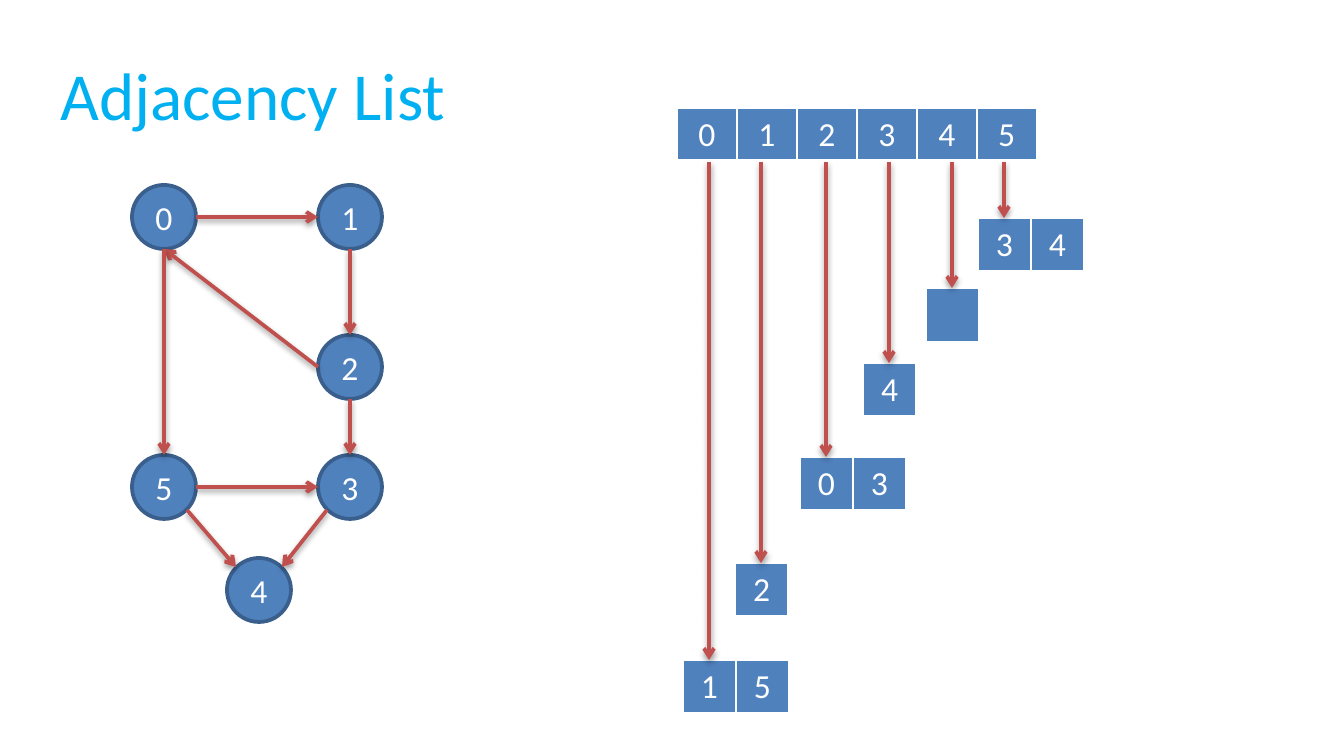
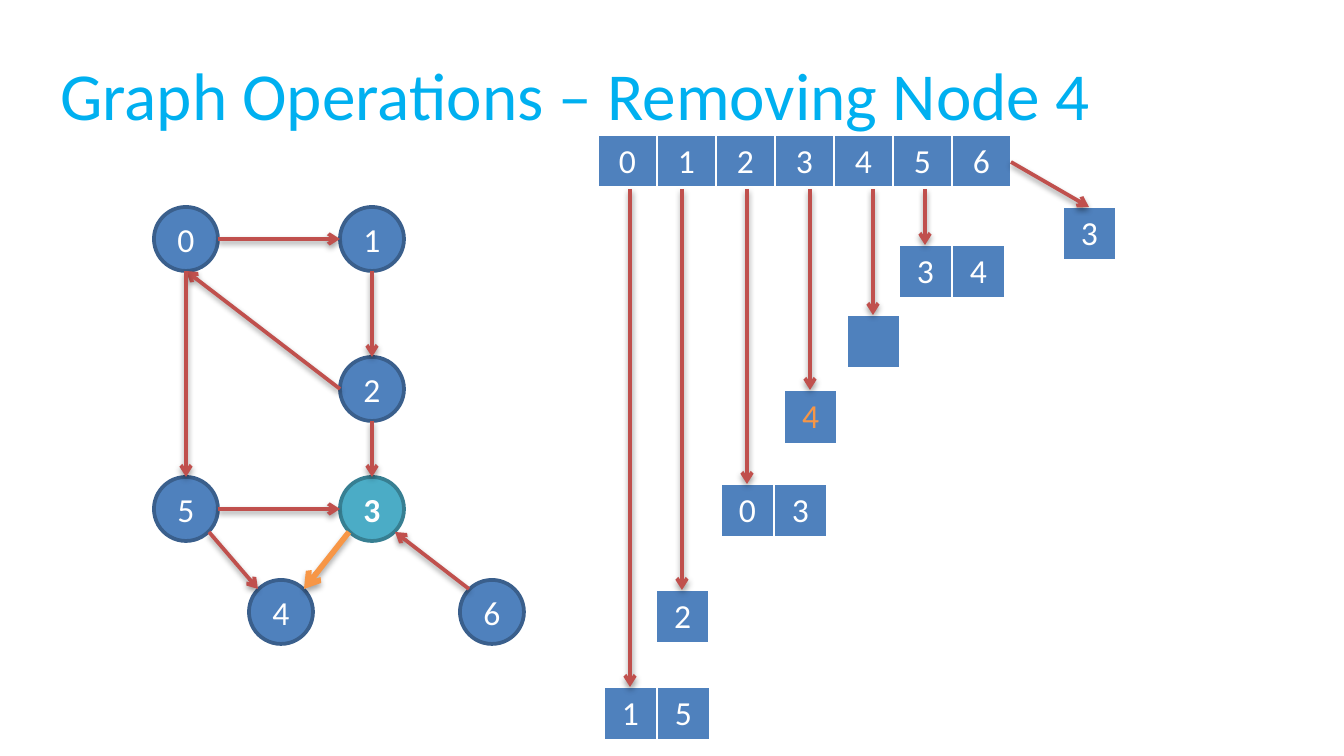
"""Builds two slides that show a directed graph beside its adjacency list."""
from math import cos, pi, sin

from lxml.etree import SubElement
from pptx import Presentation
from pptx.dml.color import RGBColor
from pptx.enum.shapes import MSO_CONNECTOR, MSO_SHAPE
from pptx.enum.text import MSO_ANCHOR, PP_ALIGN
from pptx.oxml import parse_xml
from pptx.oxml.ns import nsdecls, qn
from pptx.util import Emu, Pt

OVAL = MSO_SHAPE.OVAL
LINE = MSO_CONNECTOR.STRAIGHT
MID = MSO_ANCHOR.MIDDLE
LEFT, CENTER = PP_ALIGN.LEFT, PP_ALIGN.CENTER
FONT = "Calibri"
SCALE = 914400 / 134.4
COLORS = {
    "title": "00B0F0", "node": "4F81BD", "rim": "3A5F8C", "pick": "4BACC6",
    "pick_rim": "377F92", "edge": "C0504D", "mark": "F79646", "white": "FFFFFF",
}
RGB = {name: RGBColor.from_string(code) for name, code in COLORS.items()}

RADIUS = 32
CELL_W, CELL_H, HEAD_H = 53, 55, 54
HEAD_X, HEAD_Y = 677, 108
TOP, TOP_LEFT, SIDE, LOW_LEFT, LOW, LOW_RIGHT, RIGHT, TOP_RIGHT = range(8)
NODES = {"0": (164, 217), "3": (350, 487), "2": (350, 367), "4": (259, 590),
         "5": (164, 487), "1": (350, 217), "6": (470, 590)}
EDGES = [
    ("0", RIGHT, "1", SIDE), ("1", LOW, "2", TOP), ("2", SIDE, "0", LOW),
    ("0", LOW, "5", TOP), ("2", LOW, "3", TOP), ("3", LOW_LEFT, "4", TOP_RIGHT),
    ("5", LOW_RIGHT, "4", TOP_LEFT), ("5", RIGHT, "3", SIDE),
    ("6", TOP_LEFT, "3", LOW_RIGHT),
]
LISTS = {"5": (978, 218, "34"), "4": (926, 288, " "), "3": (863, 363, "4"),
         "2": (800, 457, "03"), "1": (735, 563, "2"), "0": (683, 660, "15"),
         "6": (1142, 180, "3")}
SLIDES = [
    {"title": "Adjacency List", "keys": "012345", "graph": (0, 0),
     "lists": (0, 0), "head_w": 60, "pick": None},
    {"title": "Graph Operations – Removing Node 4", "keys": "0123456",
     "graph": (22, 22), "lists": (-79, 27), "head_w": 59, "pick": "3"},
]


def px(*nums):
    return [Emu(round(num * SCALE)) for num in nums]


def write(frame, text, size=18, color="white", bold=False, align=CENTER):
    para = frame.paragraphs[0]
    para.alignment = align
    run = para.add_run()
    run.text = text
    run.font.name, run.font.size, run.font.bold = FONT, Pt(size), bold
    run.font.color.rgb = RGB[color]


prs = Presentation()
prs.slide_width, prs.slide_height = px(1344, 756)

for page in SLIDES:
    slide = prs.slides.add_slide(prs.slide_layouts[6])
    shapes = slide.shapes
    keys, pick = page["keys"], page["pick"]

    box = shapes.add_textbox(*px(47, 31, 1230, 126)).text_frame
    box.word_wrap = True
    box.vertical_anchor = MID
    write(box, page["title"], size=36, color="title", align=LEFT)

    dx, dy = page["graph"]
    spots, ovals = {}, {}
    for key, (x, y) in NODES.items():
        if key not in keys:
            continue
        spots[key] = x + dx, y + dy
        oval = shapes.add_shape(OVAL, *px(x + dx - RADIUS, y + dy - RADIUS,
                                          2 * RADIUS, 2 * RADIUS))
        oval.shadow.inherit = False
        oval.fill.solid()
        oval.fill.fore_color.rgb = RGB["pick" if key == pick else "node"]
        oval.line.color.rgb = RGB["pick_rim" if key == pick else "rim"]
        oval.line.width = Pt(2)
        oval.text_frame.vertical_anchor = MID
        write(oval.text_frame, key, bold=key == pick)
        ovals[key] = oval

    arrows = []
    for start, out, end, into in EDGES:
        if start not in keys:
            continue
        ends = []
        for key, site in ((start, out), (end, into)):
            x, y = spots[key]
            turn = site * pi / 4
            ends += [round(x - RADIUS * sin(turn)), round(y - RADIUS * cos(turn))]
        glue = [("a:stCxn", ovals[start], out), ("a:endCxn", ovals[end], into)]
        arrows.append((ends, glue, start == pick))

    dx, dy = page["lists"]
    head_x, head_y = HEAD_X + dx, HEAD_Y + dy
    rows = [(head_x, head_y, page["head_w"], HEAD_H, keys, "white")]
    for key, (x, y, items) in LISTS.items():
        if key not in keys:
            continue
        x, y = x + dx, y + dy
        rows.append((x, y, CELL_W, CELL_H, items, "mark" if key == pick else "white"))
        mid = x + CELL_W // 2
        if key == "6":
            tip = [head_x + len(keys) * page["head_w"], head_y + HEAD_H // 2]
        else:
            tip = [mid, head_y + HEAD_H]
        arrows.append((tip + [mid, y], [], False))

    for x, y, wide, high, items, color in rows:
        count = len(items)
        table = shapes.add_table(1, count, *px(x, y, wide * count, high)).table
        table.first_row = table.horz_banding = False
        for col, item in enumerate(items):
            table.columns[col].width = px(wide)[0]
            cell = table.cell(0, col)
            props = cell._tc.get_or_add_tcPr()
            for side, width in (("L", 1), ("R", 1), ("T", 1), ("B", 3)):
                props.append(parse_xml(
                    f'<a:ln{side} {nsdecls("a")} w="{Pt(width)}"><a:solidFill>'
                    f'<a:srgbClr val="{COLORS["white"]}"/></a:solidFill></a:ln{side}>'))
            cell.fill.solid()
            cell.fill.fore_color.rgb = RGB["node"]
            if item.strip():
                write(cell.text_frame, item, color=color)

    for ends, glue, marked in arrows:
        link = shapes.add_connector(LINE, *px(*ends))
        link.line.color.rgb = RGB["mark" if marked else "edge"]
        link.line.width = Pt(3 if marked else 2)
        props = link.element.spPr
        SubElement(props.find(qn("a:ln")), qn("a:tailEnd"), type="arrow")
        dist, alpha = (23000, 35000) if marked else (20000, 38000)
        props.append(parse_xml(
            f'<a:effectLst {nsdecls("a")}><a:outerShdw blurRad="40000" dist="{dist}" '
            f'dir="5400000" rotWithShape="0"><a:srgbClr val="000000">'
            f'<a:alpha val="{alpha}"/></a:srgbClr></a:outerShdw></a:effectLst>'))
        for tag, oval, site in glue:
            SubElement(link.element.nvCxnSpPr[1], qn(tag),
                       id=str(oval.shape_id), idx=str(site))

prs.save("out.pptx")
